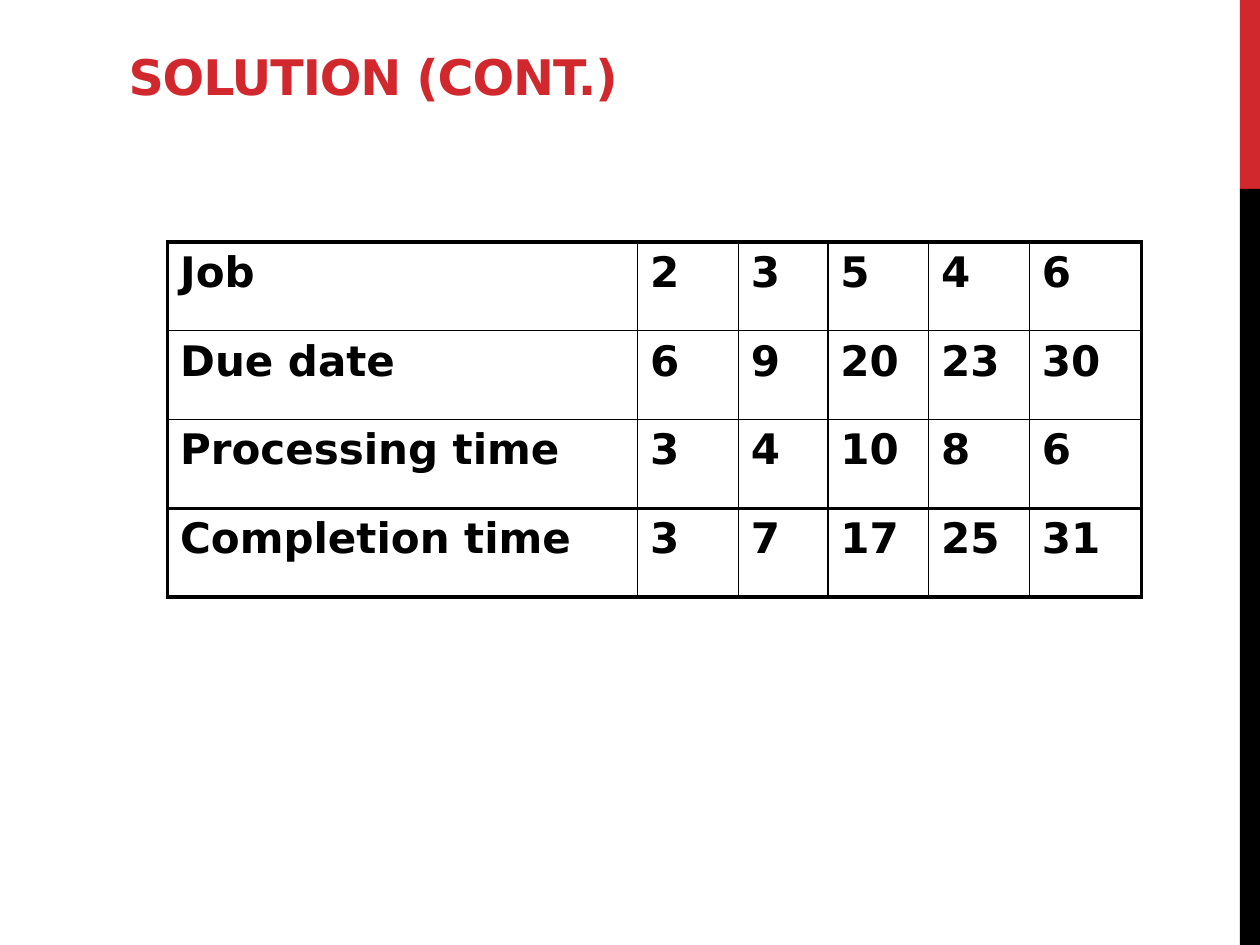
from lxml.etree import SubElement as Sub
from pptx import Presentation
from pptx.dml.color import RGBColor
from pptx.enum.shapes import MSO_SHAPE as Shape
from pptx.enum.text import MSO_ANCHOR as Anchor, MSO_AUTO_SIZE as Fit, PP_ALIGN as Align
from pptx.oxml.ns import qn
from pptx.util import Inches, Pt

TITLE = "SOLUTION (CONT.)"
ROWS = [
    ("Job", 2, 3, 5, 4, 6),
    ("Due date", 6, 9, 20, 23, 30),
    ("Processing time", 3, 4, 10, 8, 6),
    ("Completion time", 3, 7, 17, 25, 31),
]
COLS = (3.73, 0.8, 0.71, 0.8, 0.8, 0.89)
HIGH = 0.705
WIDE, TALL = 10, 7.5
BAR, SPLIT = 0.16, TALL / 5
FACE, RED, BLACK = "DejaVu Sans", "D1282E", "000000"
THIN, THICK = 1, 2.25
HEAVY_ROWS, HEAVY_COLS = (0, 3, 4), (0, 6)


def color(code):
    return RGBColor.from_string(code)


def style(para, size, code):
    font = para.font
    font.name, font.size, font.bold = FACE, Pt(size), True
    font.color.rgb = color(code)


def add_bar(slide, top, high, code):
    bar = slide.shapes.add_shape(
        Shape.RECTANGLE, *map(Inches, (WIDE - BAR, top, BAR, high)))
    bar.shadow.inherit = False
    bar.fill.solid()
    bar.fill.fore_color.rgb = color(code)
    bar.line.fill.background()


def add_title(slide):
    box = slide.shapes.title
    box.left, box.top, box.width, box.height = map(Inches, (0.92, 0.25, 8.08, 0.62))
    frame = box.text_frame
    frame.text = TITLE
    frame.auto_size, frame.vertical_anchor = Fit.NONE, Anchor.BOTTOM
    frame.margin_bottom = Inches(0.03)
    para = frame.paragraphs[0]
    para.alignment = Align.LEFT
    style(para, 28, RED)
    para.runs[0].font._element.set("spc", "-60")


def set_edges(cell, row, col):
    props = cell._tc.get_or_add_tcPr()
    edges = {
        "L": col in HEAVY_COLS, "R": col + 1 in HEAVY_COLS,
        "T": row in HEAVY_ROWS, "B": row + 1 in HEAVY_ROWS,
    }
    for side, heavy in edges.items():
        line = Sub(props, qn(f"a:ln{side}"), w=str(Pt(THICK if heavy else THIN)))
        Sub(Sub(line, qn("a:solidFill")), qn("a:srgbClr"), val=BLACK)


def add_jobs(slide):
    table = slide.shapes.add_table(
        len(ROWS), len(COLS),
        *map(Inches, (1.33, 1.92, sum(COLS), HIGH * len(ROWS)))).table
    table.first_row = table.horz_banding = False
    for col, wide in zip(table.columns, COLS):
        col.width = Inches(wide)
    for r, row in enumerate(ROWS):
        for c, value in enumerate(row):
            cell = table.cell(r, c)
            cell.text = str(value)
            style(cell.text_frame.paragraphs[0], 24, BLACK)
            set_edges(cell, r, c)
            cell.fill.background()


def main():
    """Build the job schedule slide."""
    deck = Presentation()
    deck.slide_width, deck.slide_height = Inches(WIDE), Inches(TALL)
    slide = deck.slides.add_slide(deck.slide_layouts[5])
    add_bar(slide, 0, SPLIT, RED)
    add_bar(slide, SPLIT, TALL - SPLIT, BLACK)
    add_title(slide)
    add_jobs(slide)
    deck.save("out.pptx")


if __name__ == "__main__":
    main()
